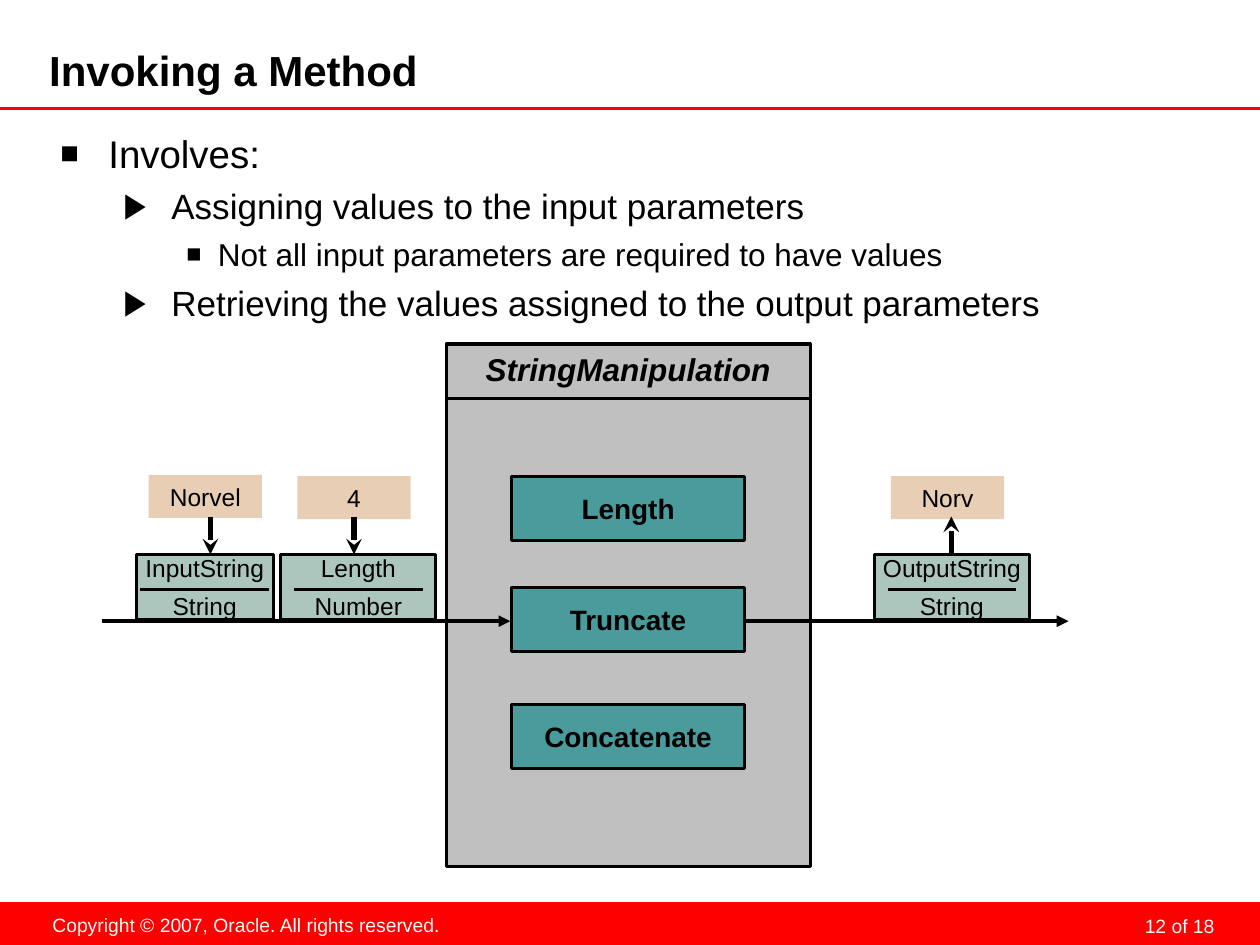
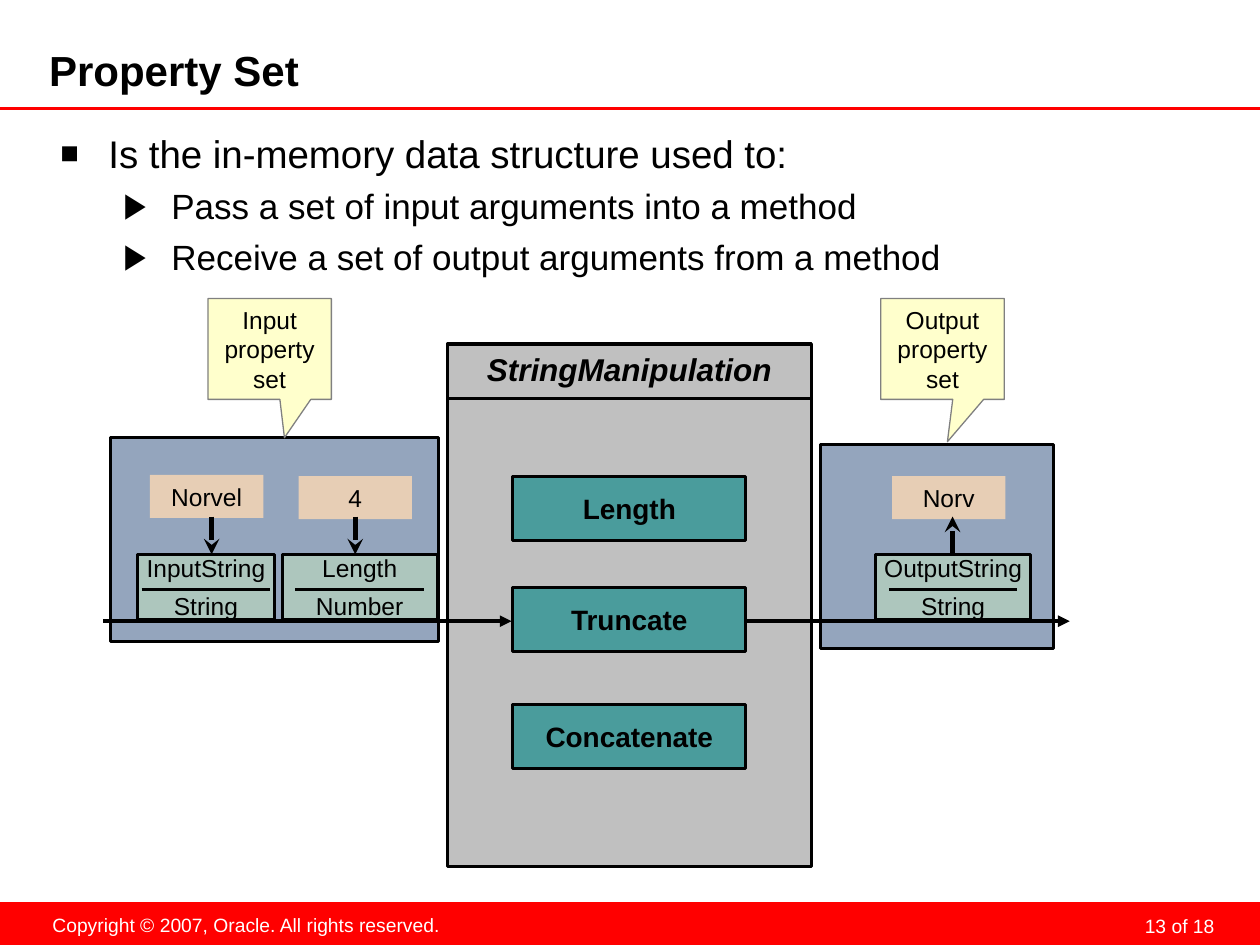
from dataclasses import dataclass

from lxml import etree
from pptx import Presentation
from pptx.dml.color import RGBColor
from pptx.enum.shapes import MSO_CONNECTOR, MSO_SHAPE
from pptx.enum.text import MSO_ANCHOR, MSO_AUTO_SIZE, PP_ALIGN
from pptx.oxml.ns import qn
from pptx.util import Inches, Pt

BLACK = RGBColor(0x00, 0x00, 0x00)
WHITE = RGBColor(0xFF, 0xFF, 0xFF)
RED = RGBColor(0xFF, 0x00, 0x00)
CLASS_GREY = RGBColor(0xC0, 0xC0, 0xC0)
METHOD_TEAL = RGBColor(0x4A, 0x9C, 0x9C)
PARAMETER_GREEN = RGBColor(0xAD, 0xC6, 0xBD)
VALUE_TAN = RGBColor(0xE7, 0xCE, 0xB5)
SET_BLUE = RGBColor(0x94, 0xA5, 0xBD)
CALLOUT_YELLOW = RGBColor(0xFF, 0xFF, 0xCC)
CALLOUT_GREY = RGBColor(0x80, 0x80, 0x80)

FONT = "Arial"
OUTLINE = 1.75
PAGE_COUNT = 18


@dataclass
class BulletLevel:
    """Look of one level of the body list."""
    character: str
    scale: int
    margin: float
    hanging: float
    size: float
    space_before: float


@dataclass
class Parameter:
    """A method parameter with the value passed through it."""
    name: str
    kind: str
    value: str
    left: float
    width: float
    value_left: float
    value_top: float
    arrow_x: float
    is_output: bool = False


LEVELS = [
    BulletLevel("■", 80, 0.38, 0.38, 22, 5.5),
    BulletLevel("▶", 100, 0.88, 0.38, 20, 5),
    BulletLevel("■", 80, 1.25, 0.25, 18, 4.5),
]

METHODS = [("Length", 1.05), ("Truncate", 1.93), ("Concatenate", 2.86)]

PARAMETERS = [
    Parameter("InputString", "String", "Norvel", 0.27, 1.09, 0.37, 1.04, 0.86),
    Parameter("Length", "Number", "4", 1.42, 1.23, 1.55, 1.05, 2.0),
    Parameter("OutputString", "String", "Norv", 6.13, 1.23, 6.26, 1.05, 6.74, True),
]


def format_font(paragraph, size, color=BLACK, bold=False, italic=False):
    """Set the font of a whole paragraph."""
    font = paragraph.font
    font.name, font.size = FONT, Pt(size)
    font.bold, font.italic = bold, italic
    font.color.rgb = color


def place(shape, left, top, width, height):
    """Move and size a shape, in inches."""
    shape.left, shape.top = Inches(left), Inches(top)
    shape.width, shape.height = Inches(width), Inches(height)


def write(shape, text, size, align=PP_ALIGN.CENTER, **style):
    """Write one formatted paragraph into a shape and return it."""
    paragraph = shape.text_frame.paragraphs[0]
    paragraph.text = text
    paragraph.alignment = align
    format_font(paragraph, size, **style)
    return paragraph


def add_box(slide, left, top, width, height, fill, line=BLACK,
            line_width=OUTLINE, preset=MSO_SHAPE.RECTANGLE):
    """Add a filled shape, outlined unless line is None."""
    shape = slide.shapes.add_shape(
        preset, Inches(left), Inches(top), Inches(width), Inches(height))
    shape.shadow.inherit = False
    shape.fill.solid()
    shape.fill.fore_color.rgb = fill
    if line is None:
        shape.line.fill.background()
    else:
        shape.line.color.rgb = line
        shape.line.width = Pt(line_width)
    shape.text_frame.word_wrap = True
    shape.text_frame.vertical_anchor = MSO_ANCHOR.MIDDLE
    return shape


def add_label(slide, left, top, width, height, text, size, **style):
    """Add a wrapped text box with one paragraph and return it."""
    box = slide.shapes.add_textbox(
        Inches(left), Inches(top), Inches(width), Inches(height))
    box.text_frame.word_wrap = True
    write(box, text, size, **style)
    return box


def add_line(slide, start, end, width=OUTLINE, color=BLACK, head=None):
    """Add a straight line, with an arrowhead at its end if named."""
    points = [Inches(value) for value in (*start, *end)]
    connector = slide.shapes.add_connector(MSO_CONNECTOR.STRAIGHT, *points)
    connector.line.color.rgb = color
    connector.line.width = Pt(width)
    if head:
        etree.SubElement(connector.line._get_or_add_ln(), qn("a:tailEnd"), type=head)
    etree.SubElement(connector._element.spPr, qn("a:effectLst"))


def add_bullet(paragraph, level):
    """Give a paragraph its bullet and hanging indent."""
    properties = paragraph._p.get_or_add_pPr()
    properties.set("marL", str(Inches(level.margin)))
    properties.set("indent", str(-Inches(level.hanging)))
    color = etree.SubElement(properties, qn("a:buClr"))
    etree.SubElement(color, qn("a:srgbClr"), val=str(BLACK))
    etree.SubElement(properties, qn("a:buSzPct"), val=str(level.scale * 1000))
    etree.SubElement(properties, qn("a:buFont"), typeface=FONT)
    etree.SubElement(properties, qn("a:buChar"), char=level.character)


def add_title(slide, text):
    """Fill the title placeholder and draw the rule beneath it."""
    title = slide.shapes.title
    place(title, 0.39, 0.38, 7.87, 0.4)
    frame = title.text_frame
    frame.auto_size = MSO_AUTO_SIZE.NONE
    frame.vertical_anchor = MSO_ANCHOR.MIDDLE
    frame.margin_left = frame.margin_top = 0
    frame.margin_right = frame.margin_bottom = Inches(0.05)
    write(title, text, 24, PP_ALIGN.LEFT, bold=True)
    add_line(slide, (0, 0.86), (10, 0.86), color=RED)


def add_body(slide, items):
    """Fill the body placeholder with (level, text) items."""
    body = slide.placeholders[1]
    place(body, 0.38, 0.93, 9.3, 6.18)
    frame = body.text_frame
    frame.auto_size = MSO_AUTO_SIZE.NONE
    frame.margin_top = Inches(0.1)
    for index, (depth, text) in enumerate(items):
        paragraph = frame.add_paragraph() if index else frame.paragraphs[0]
        level = LEVELS[depth]
        paragraph.text = text
        paragraph.level = depth
        add_bullet(paragraph, level)
        paragraph.space_before = Pt(level.space_before if index else 0)
        format_font(paragraph, level.size)


def add_footer(slide, page):
    """Draw the red band with the copyright line and page number."""
    add_box(slide, 0, 7.16, 10, 0.34, RED, line=None)
    notice = add_label(slide, 0.31, 7.2, 3.29, 0.29,
                       "Copyright © 2007, Oracle. All rights reserved.", 11, color=WHITE)
    notice.text_frame.word_wrap = False
    number = add_label(slide, 7.36, 7.19, 2.33, 0.25, f"{page} of {PAGE_COUNT}", 11,
                       align=PP_ALIGN.RIGHT, color=WHITE)
    frame = number.text_frame
    frame.margin_left = frame.margin_right = Inches(0.05)
    frame.margin_top = frame.margin_bottom = 0
    frame.paragraphs[0].line_spacing = Pt(18)


def add_class_box(slide, left, top):
    """Draw the class with its header and methods."""
    width = 2.89
    add_box(slide, left, top, width, 4.15, CLASS_GREY)
    add_line(slide, (left, top + 0.43), (left + width, top + 0.43))
    add_label(slide, left, top, width, 0.4, "StringManipulation", 18,
              bold=True, italic=True)
    for name, offset in METHODS:
        method = add_box(slide, left + 0.52, top + offset, 1.85, 0.51, METHOD_TEAL)
        write(method, name, 16, bold=True)


def add_parameter(slide, left, top, parameter):
    """Draw a parameter, its value and the arrow between them."""
    box_left, box_top = left + parameter.left, top + 1.67
    center = box_left + parameter.width / 2
    add_box(slide, box_left, box_top, parameter.width, 0.52, PARAMETER_GREEN)
    for text, offset in ((parameter.name, -0.06), (parameter.kind, 0.24)):
        add_label(slide, center - 0.75, box_top + offset, 1.5, 0.34, text, 14)
    add_line(slide, (center - 0.51, box_top + 0.28), (center + 0.51, box_top + 0.28))
    value = add_box(slide, left + parameter.value_left, top + parameter.value_top,
                    0.9, 0.34, VALUE_TAN, line=None)
    write(value, parameter.value, 14)
    x = left + parameter.arrow_x
    ends = [(x, top + 1.37), (x, box_top)]
    if parameter.is_output:
        ends.reverse()
    add_line(slide, *ends, width=3, head="stealth")


def add_diagram(slide, left, top):
    """Draw the class, the data flow through it and the parameters."""
    add_class_box(slide, left + 2.73, top)
    for start, end in ((5.1, 7.67), (0, 3.24)):
        add_line(slide, (left + start, top + 2.2), (left + end, top + 2.2),
                 width=2.25, head="triangle")
    for parameter in PARAMETERS:
        add_parameter(slide, left, top, parameter)


def add_property_set(slide, left, top, width, text, callout_left, tip):
    """Draw the panel of a property set and the callout naming it."""
    add_box(slide, left, top, width, 1.62, SET_BLUE)
    callout = add_box(slide, callout_left, 2.37, 0.98, 0.8, CALLOUT_YELLOW,
                      CALLOUT_GREY, 0.75, MSO_SHAPE.RECTANGULAR_CALLOUT)
    callout.adjustments[0], callout.adjustments[1] = tip
    write(callout, text, 14)


def add_content_slide(presentation, title, items, page):
    """Add a slide with title, list and footer."""
    slide = presentation.slides.add_slide(presentation.slide_layouts[1])
    add_title(slide, title)
    add_body(slide, items)
    add_footer(slide, page)
    return slide


def main():
    """Build and save the presentation."""
    presentation = Presentation()
    presentation.slide_width, presentation.slide_height = Inches(10), Inches(7.5)

    invoking = add_content_slide(presentation, "Invoking a Method", [
        (0, "Involves:"),
        (1, "Assigning values to the input parameters"),
        (2, "Not all input parameters are required to have values"),
        (1, "Retrieving the values assigned to the output parameters"),
    ], 12)
    add_diagram(invoking, 0.81, 2.73)

    property_set = add_content_slide(presentation, "Property Set", [
        (0, "Is the in-memory data structure used to:"),
        (1, "Pass a set of input arguments into a method"),
        (1, "Receive a set of output arguments from a method"),
    ], 13)
    add_property_set(property_set, 0.88, 3.47, 2.6, "Input property set", 1.65, (0.12, 0.88))
    add_property_set(property_set, 6.51, 3.53, 1.85, "Output property set", 6.99, (0.04, 0.92))
    add_diagram(property_set, 0.82, 2.73)

    presentation.save("out.pptx")


if __name__ == "__main__":
    main()
